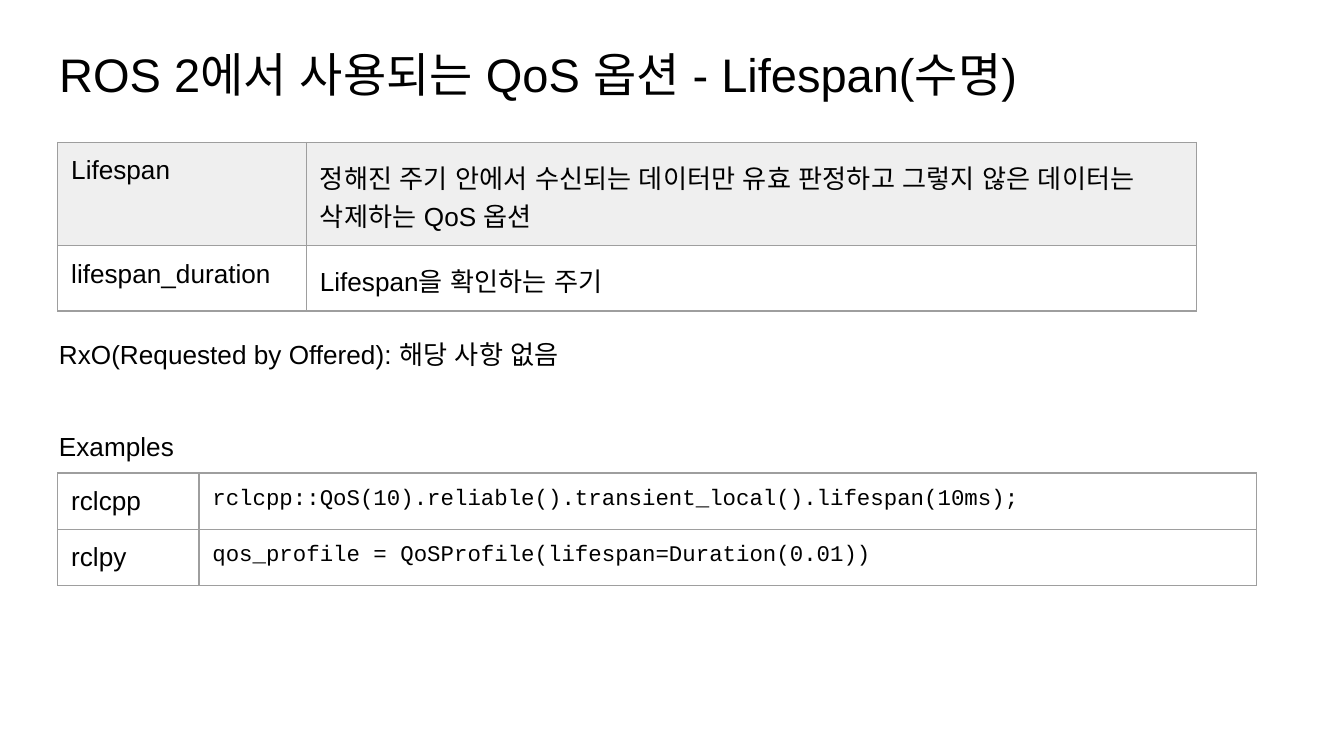
from lxml.etree import SubElement
from pptx import Presentation
from pptx.dml.color import RGBColor
from pptx.enum.text import MSO_ANCHOR, MSO_AUTO_SIZE, PP_ALIGN
from pptx.oxml.ns import qn
from pptx.util import Inches, Pt

COLORS = {"text": "000000", "line": "9E9E9E", "head": "EFEFEF"}
PAD = Inches(0.1)


def write(frame, text, size, face="Arial", space=1.0):
    frame.text = text
    para = frame.paragraphs[0]
    para.alignment = PP_ALIGN.LEFT
    para.line_spacing = space
    for run in para.runs:
        font = run.font
        font.size, font.name, font.bold = Pt(size), face, False
        font.color.rgb = RGBColor.from_string(COLORS["text"])
        for tag in ("a:ea", "a:cs"):
            SubElement(font._element, qn(tag), typeface=face)


def border(cell):
    props = cell._tc.get_or_add_tcPr()
    for spot, side in enumerate(("a:lnL", "a:lnR", "a:lnT", "a:lnB")):
        line = props.makeelement(qn(side), {"w": str(Pt(0.75))})
        fill = SubElement(line, qn("a:solidFill"))
        SubElement(fill, qn("a:srgbClr"), val=COLORS["line"])
        props.insert(spot, line)


deck = Presentation()
deck.slide_width = Inches(10)
deck.slide_height = deck.slide_width * 9 // 16
slide = deck.slides.add_slide(deck.slide_layouts[5])

title = slide.shapes.title
title.left, title.top = Inches(0.34), Inches(0.24)
title.width, title.height = Inches(9.32), Inches(0.63)
frame = title.text_frame
write(frame, "ROS 2에서 사용되는 QoS 옵션 - Lifespan(수명)", 25.2)
frame.vertical_anchor = MSO_ANCHOR.TOP
frame.auto_size = MSO_AUTO_SIZE.NONE
frame.margin_left = frame.margin_right = frame.margin_top = frame.margin_bottom = PAD

option = [
    ["Lifespan", "정해진 주기 안에서 수신되는 데이터만 유효 판정하고 그렇지 않은 데이터는 삭제하는 QoS 옵션"],
    ["lifespan_duration", "Lifespan을 확인하는 주기"],
]
code = [
    ["rclcpp", "rclcpp::QoS(10).reliable().transient_local().lifespan(10ms);"],
    ["rclpy", "qos_profile = QoSProfile(lifespan=Duration(0.01))"],
]
tables = [
    (option, 1.06, (1.85, 6.62), (0.77, 0.48), "head", (14, "Arial", 1.3)),
    (code, 3.52, (1.05, 7.87), (0.42, 0.42), None, (12, "Courier New", 1.0)),
]
for rows, top, wide, high, shade, style in tables:
    table = slide.shapes.add_table(
        len(rows), len(wide), Inches(0.43), Inches(top), Inches(sum(wide)), Inches(sum(high))
    ).table
    table.first_row = table.horz_banding = False
    for col, width in zip(table.columns, wide):
        col.width = Inches(width)
    for i, row in enumerate(rows):
        table.rows[i].height = Inches(high[i])
        for j, text in enumerate(row):
            cell = table.cell(i, j)
            size, face, space = style if j else (14, "Arial", 1.0)
            write(cell.text_frame, text, size, face, space)
            cell.margin_left = cell.margin_right = cell.margin_top = cell.margin_bottom = PAD
            if shade and i == 0:
                cell.fill.solid()
                cell.fill.fore_color.rgb = RGBColor.from_string(COLORS[shade])
            else:
                cell.fill.background()
            border(cell)

labels = [("Examples", 3.1, 1.29), ("RxO(Requested by Offered): 해당 사항 없음", 2.42, 5.79)]
for text, top, width in labels:
    box = slide.shapes.add_textbox(Inches(0.34), Inches(top), Inches(width), Inches(0.44))
    frame = box.text_frame
    frame.word_wrap = True
    frame.auto_size = MSO_AUTO_SIZE.SHAPE_TO_FIT_TEXT
    frame.margin_left = frame.margin_right = frame.margin_top = frame.margin_bottom = PAD
    write(frame, text, 14)

deck.save("out.pptx")
